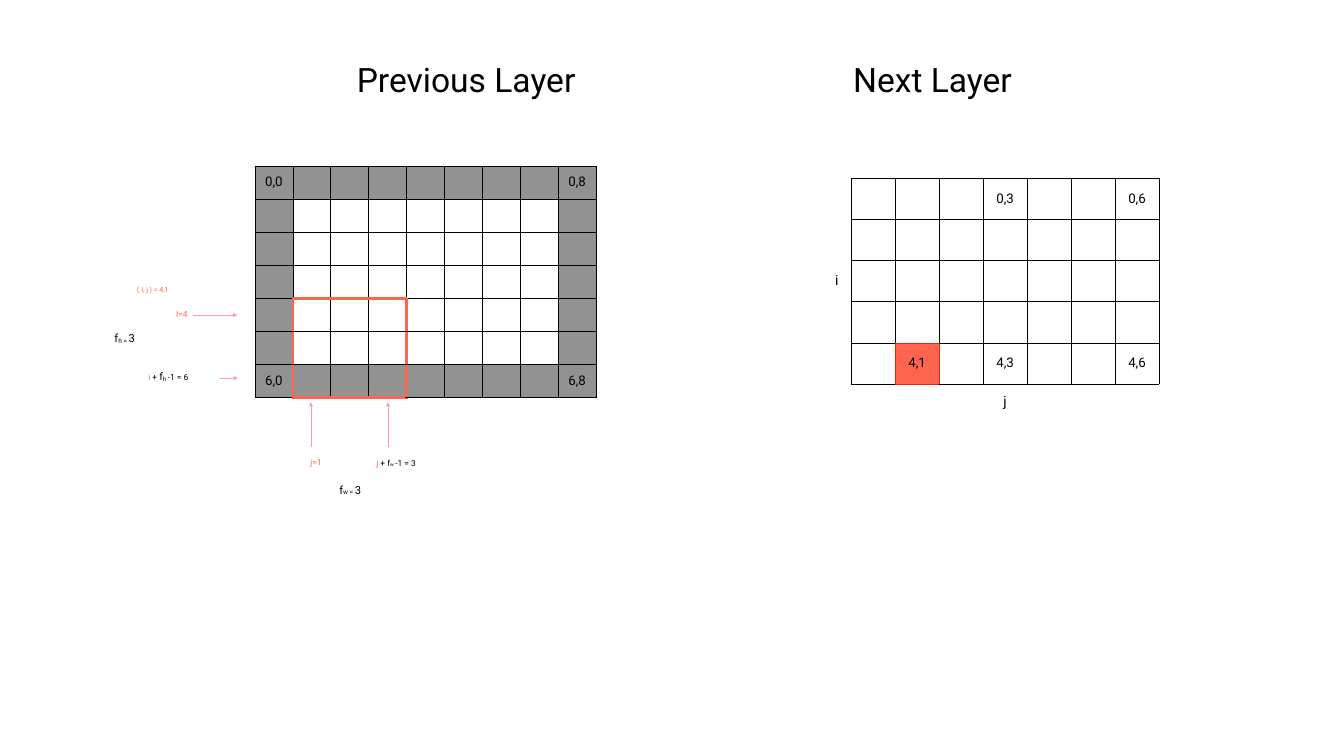
from dataclasses import dataclass
from typing import NamedTuple

import pptx
import pptx.dml.color
import pptx.enum.dml
import pptx.enum.shapes
import pptx.enum.text
import pptx.oxml.ns
import pptx.util
from lxml import etree

Inches = pptx.util.Inches
Pt = pptx.util.Pt
qn = pptx.oxml.ns.qn


@dataclass(frozen=True)
class Theme:
    font: str = "Roboto"
    black: str = "000000"
    accent: str = "FF644E"
    accent_edge: str = "EE230C"
    padding: str = "929292"
    arrow: str = "FF94CA"
    title: float = 48
    axis: float = 20
    cell: float = 19
    filter: float = 16
    formula: float = 15
    note: float = 12
    small: float = 10
    inset: float = 0.06
    line_spacing: float = 0.9


THEME = Theme()


class Run(NamedTuple):
    text: str
    size: float
    color: str = THEME.black
    subscript: bool = False


class Label(NamedTuple):
    box: tuple[float, float, float, float]
    runs: list[Run]


class Arrow(NamedTuple):
    start: tuple[float, float]
    end: tuple[float, float]


class Grid(NamedTuple):
    box: tuple[float, float, float, float]
    rows: int
    cols: int
    labels: set[tuple[int, int]]
    fills: dict[tuple[int, int], str]
    framed: set[tuple[int, int]]
    frame_color: str
    frame_width: float


def rgb(color: str) -> pptx.dml.color.RGBColor:
    return pptx.dml.color.RGBColor.from_string(color)


def write(tf, text, *, size=THEME.cell, color=THEME.black, subscript=False,
          align=pptx.enum.text.PP_ALIGN.CENTER):
    """Append one formatted run to the first paragraph."""
    p = tf.paragraphs[0]
    p.alignment = align
    p.line_spacing = THEME.line_spacing
    r = p.add_run()
    r.text = text
    r.font.name = THEME.font
    r.font.size = Pt(size)
    r.font.color.rgb = rgb(color)
    if subscript:
        r.font._element.set("baseline", "-6000")


def set_margins(target) -> None:
    for side in ("left", "top", "right", "bottom"):
        setattr(target, f"margin_{side}", Inches(THEME.inset))
    target.vertical_anchor = pptx.enum.text.MSO_ANCHOR.MIDDLE


def draw_label(s, label: Label) -> None:
    tf = s.shapes.add_textbox(*map(Inches, label.box)).text_frame
    tf.word_wrap = False
    tf.auto_size = pptx.enum.text.MSO_AUTO_SIZE.SHAPE_TO_FIT_TEXT
    set_margins(tf)
    for run in label.runs:
        write(tf, run.text, size=run.size, color=run.color, subscript=run.subscript)


def draw_arrow(s, arrow: Arrow) -> None:
    line = s.shapes.add_connector(
        pptx.enum.shapes.MSO_CONNECTOR.STRAIGHT,
        *map(Inches, (*arrow.start, *arrow.end)))
    line.line.color.rgb = rgb(THEME.arrow)
    line.line.width = Pt(1)
    etree.SubElement(line.line._get_or_add_ln(), qn("a:tailEnd"), type="triangle")
    etree.SubElement(line._element.spPr, qn("a:effectLst"))


def set_border(cell, side: str, color: str, width: float) -> None:
    ln = etree.SubElement(cell._tc.get_or_add_tcPr(), qn(f"a:ln{side}"), w=str(Pt(width)))
    fill = etree.SubElement(ln, qn("a:solidFill"))
    etree.SubElement(fill, qn("a:srgbClr"), val=color)


def draw_grid(s, grid: Grid) -> None:
    """Draw a table; edges where the framed region starts or stops get the frame line."""
    frame = s.shapes.add_table(grid.rows, grid.cols, *map(Inches, grid.box))
    table = frame.table
    table.first_row = table.horz_banding = False
    for col in table.columns:
        col.width = Inches(grid.box[2] / grid.cols)
    for row in table.rows:
        row.height = Inches(grid.box[3] / grid.rows)
    steps = {"L": (0, -1), "R": (0, 1), "T": (-1, 0), "B": (1, 0)}
    for i in range(grid.rows):
        for j in range(grid.cols):
            cell = table.cell(i, j)
            set_margins(cell)
            for side, (di, dj) in steps.items():
                on_frame = ((i, j) in grid.framed) != ((i + di, j + dj) in grid.framed)
                if on_frame:
                    set_border(cell, side, grid.frame_color, grid.frame_width)
                else:
                    set_border(cell, side, THEME.black, 1)
            if (i, j) in grid.fills:
                cell.fill.solid()
                cell.fill.fore_color.rgb = rgb(grid.fills[i, j])
            else:
                cell.fill.background()
            if (i, j) in grid.labels:
                write(cell.text_frame, f"{i},{j}")


PREVIOUS_LAYER = Grid(
    (5.06, 3.29, 6.77, 4.6), 7, 9,
    labels={(0, 0), (0, 8), (6, 0), (6, 8)},
    fills={(i, j): THEME.padding for i in range(7) for j in range(9)
           if i in (0, 6) or j in (0, 8)},
    framed={(i, j) for i in range(4, 7) for j in range(1, 4)},
    frame_color=THEME.accent, frame_width=4)

NEXT_LAYER = Grid(
    (16.89, 3.54, 6.11, 4.08), 5, 7,
    labels={(0, 3), (0, 6), (4, 1), (4, 3), (4, 6)},
    fills={(4, 1): THEME.accent}, framed={(4, 1)},
    frame_color=THEME.accent_edge, frame_width=1)


def filter_size(name: str) -> list[Run]:
    return [Run("f", THEME.filter), Run(f"{name} = ", THEME.filter, subscript=True),
            Run("3", THEME.filter)]


def accent(text: str, size: float = THEME.note) -> Run:
    return Run(text, size, THEME.accent)


LABELS = [
    Label((6.99, 1.17, 4.52, 0.88), [Run("Previous Layer", THEME.title)]),
    Label((16.83, 1.17, 3.35, 0.88), [Run("Next Layer", THEME.title)]),
    Label((16.51, 5.36, 0.19, 0.44), [Run("i", THEME.axis)]),
    Label((19.85, 7.75, 0.19, 0.44), [Run("j", THEME.axis)]),
    Label((2.19, 6.55, 0.57, 0.35), filter_size("h")),
    Label((6.65, 9.56, 0.6, 0.35), filter_size("w")),
    Label((2.85, 7.32, 0.98, 0.34), [
        accent("i "), Run("+ ", THEME.note), Run("f", THEME.formula),
        Run("h ", THEME.formula, subscript=True), Run("-1 = 6", THEME.note)]),
    Label((3.43, 6.1, 0.36, 0.3), [accent("I=4")]),
    Label((6.07, 9.03, 0.4, 0.3), [accent("j=1")]),
    Label((7.35, 9.01, 1.02, 0.34), [
        accent("j "), Run("+ f", THEME.note), Run("w", THEME.note, subscript=True),
        Run(" ", THEME.formula, subscript=True), Run("-1 = 3", THEME.note)]),
    Label((2.65, 5.62, 0.77, 0.27), [accent("( I, j ) = 4,1", THEME.small)]),
]

ARROWS = [
    Arrow((3.84, 6.25), (4.71, 6.25)),
    Arrow((4.36, 7.5), (4.72, 7.5)),
    Arrow((6.17, 8.86), (6.17, 7.98)),
    Arrow((7.7, 8.86), (7.7, 7.98)),
]


def main() -> None:
    prs = pptx.Presentation()
    prs.slide_width, prs.slide_height = Inches(26.67), Inches(15)
    s = prs.slides.add_slide(prs.slide_layouts[6])
    for grid in (NEXT_LAYER, PREVIOUS_LAYER):
        draw_grid(s, grid)
    for label in LABELS:
        draw_label(s, label)
    for arrow in ARROWS:
        draw_arrow(s, arrow)
    prs.save("out.pptx")


if __name__ == "__main__":
    main()
